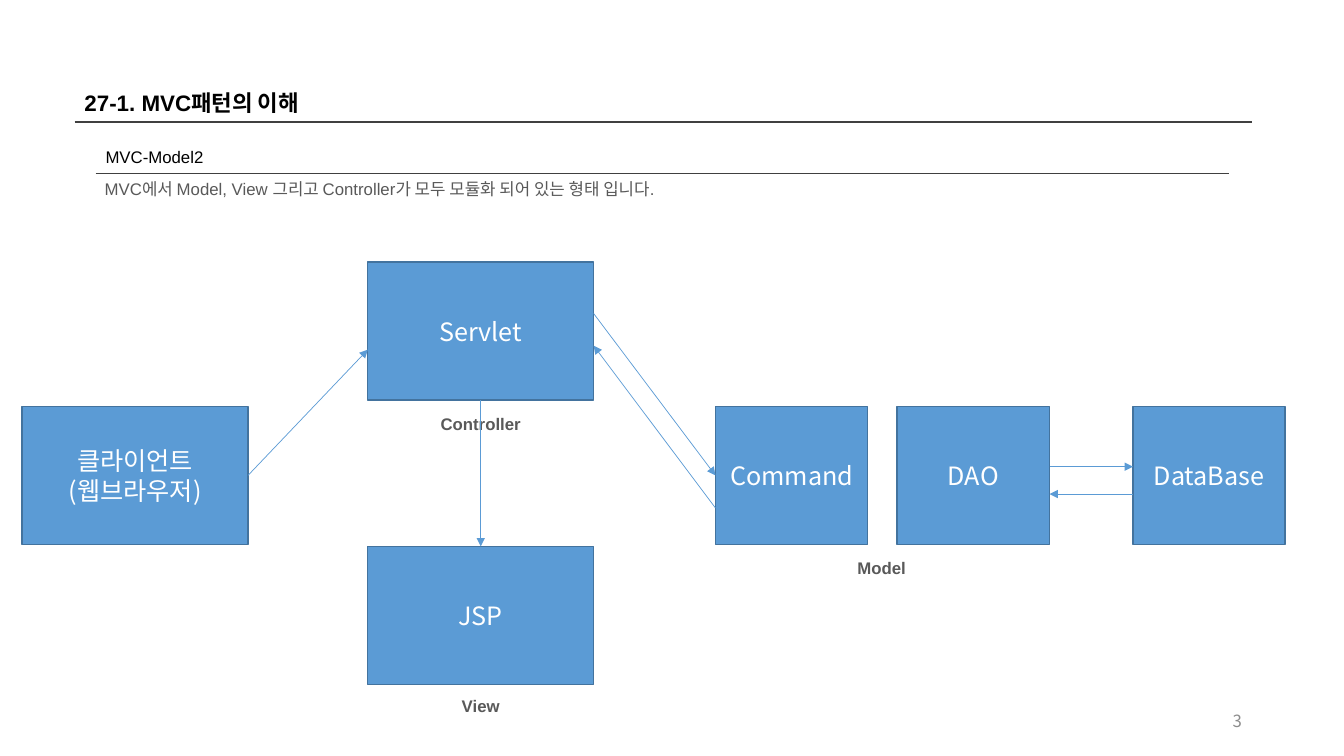
import pptx
import pptx.util
import pptx.dml.color
import pptx.enum.shapes
import pptx.enum.text
import pptx.oxml
import pptx.oxml.ns

Cm = pptx.util.Cm
Pt = pptx.util.Pt
RGBColor = pptx.dml.color.RGBColor
ALIGN = pptx.enum.text.PP_ALIGN
ANCHOR = pptx.enum.text.MSO_ANCHOR

BLACK = RGBColor(0x00, 0x00, 0x00)
WHITE = RGBColor(0xFF, 0xFF, 0xFF)
RULE = RGBColor(0x40, 0x40, 0x40)
BODY = RGBColor(0x59, 0x59, 0x59)
PAGE = RGBColor(0x8C, 0x8C, 0x8C)
BLUE = RGBColor(0x5B, 0x9B, 0xD5)
EDGE = RGBColor(0x43, 0x73, 0x9E)

LATIN = "Arial"
KOREAN = "Noto Sans CJK KR"
TOP, LEFT, BOTTOM, RIGHT = range(4)


class Diagram:
    """Holds the style and the slide being drawn."""

    box_height = 3.48

    def __init__(self, slide):
        self.slide = slide

    def fill_text(self, frame, text, size, color, font, bold, align, anchor):
        frame.word_wrap = True
        frame.vertical_anchor = anchor
        frame.text = text
        for paragraph in frame.paragraphs:
            paragraph.alignment = align
            for run in paragraph.runs:
                run.font.size = Pt(size)
                run.font.name = font
                run.font.bold = bold
                run.font.color.rgb = color
                east_asian = pptx.oxml.parse_xml(
                    f'<a:ea {pptx.oxml.ns.nsdecls("a")} typeface="{KOREAN}"/>')
                run.font._element.find(pptx.oxml.ns.qn("a:latin")).addnext(east_asian)

    def text(self, x, y, width, height, text, size=12, color=BODY, font=LATIN,
             bold=False, align=ALIGN.LEFT, anchor=ANCHOR.TOP):
        area = self.slide.shapes.add_textbox(Cm(x), Cm(y), Cm(width), Cm(height))
        self.fill_text(area.text_frame, text, size, color, font, bold, align, anchor)

    def caption(self, x, y, width, text):
        self.text(x, y, width, 0.78, text, bold=True, align=ALIGN.CENTER)

    def box(self, x, y, width, text):
        box = self.slide.shapes.add_shape(
            pptx.enum.shapes.MSO_SHAPE.RECTANGLE,
            Cm(x), Cm(y), Cm(width), Cm(self.box_height))
        box.shadow.inherit = False
        box.fill.solid()
        box.fill.fore_color.rgb = BLUE
        box.line.color.rgb = EDGE
        box.line.width = Pt(1)
        self.fill_text(box.text_frame, text, 18, WHITE, KOREAN, False,
                       ALIGN.CENTER, ANCHOR.MIDDLE)
        return box

    def line(self, x1, y1, x2, y2, color=RULE, width=1):
        line = self.slide.shapes.add_connector(
            pptx.enum.shapes.MSO_CONNECTOR.STRAIGHT, Cm(x1), Cm(y1), Cm(x2), Cm(y2))
        line.line.color.rgb = color
        line.line.width = Pt(width)
        line._element.spPr.append(pptx.oxml.parse_xml(
            f'<a:effectLst {pptx.oxml.ns.nsdecls("a")}/>'))
        return line

    def arrow(self, x1, y1, x2, y2, begin=None, end=None):
        arrow = self.line(x1, y1, x2, y2, BLUE, 0.5)
        outline = arrow._element.spPr.find(pptx.oxml.ns.qn("a:ln"))
        outline.append(pptx.oxml.parse_xml(
            f'<a:tailEnd {pptx.oxml.ns.nsdecls("a")} type="triangle"/>'))
        if begin:
            arrow.begin_connect(*begin)
        if end:
            arrow.end_connect(*end)


def main():
    deck = pptx.Presentation()
    deck.slide_width, deck.slide_height = Cm(33.87), Cm(19.05)
    diagram = Diagram(deck.slides.add_slide(deck.slide_layouts[6]))

    # Headings and page number
    diagram.text(1.88, 2.11, 29.67, 0.94, "27-1. MVC패턴의 이해", 16, BLACK, bold=True)
    diagram.line(1.88, 3.07, 31.55, 3.07)
    diagram.text(2.41, 3.58, 27.71, 0.78, "MVC-Model2", color=BLACK)
    diagram.line(2.41, 4.37, 30.96, 4.37)
    diagram.text(2.39, 4.39, 27.71, 0.78,
                 "MVC에서 Model, View 그리고 Controller가 모두 모듈화 되어 있는 형태 입니다.")
    diagram.text(23.93, 17.65, 7.62, 1.02, "3", color=PAGE, font=KOREAN,
                 align=ALIGN.RIGHT, anchor=ANCHOR.MIDDLE)

    # Boxes: wide ones on the web side, narrow ones on the model side
    wide, narrow = 5.69, 3.84
    web_x, row_y = 9.27, 10.24
    command_x, dao_x, database_x = 18.03, 22.61, 28.55
    client = diagram.box(0.56, row_y, wide, "클라이언트\n(웹브라우저)")
    servlet = diagram.box(web_x, 6.6, wide, "Servlet")
    jsp = diagram.box(web_x, 13.77, wide, "JSP")
    command = diagram.box(command_x, row_y, narrow, "Command")
    diagram.box(dao_x, row_y, narrow, "DAO")
    diagram.box(database_x, row_y, narrow, "DataBase")

    # Roles
    diagram.caption(web_x, 10.29, wide, "Controller")
    diagram.caption(web_x, 17.4, wide, "View")
    diagram.caption(17.98, 13.92, 8.48, "Model")

    # Flow
    servlet_right, dao_right = web_x + wide, dao_x + narrow
    row_middle = row_y + diagram.box_height / 2
    web_middle = web_x + wide / 2
    diagram.arrow(6.25, row_middle, web_x, 8.81, begin=(client, RIGHT))
    diagram.arrow(servlet_right, 7.9, command_x, row_middle, end=(command, LEFT))
    diagram.arrow(command_x, 12.8, servlet_right, 8.71)
    diagram.arrow(web_middle, 10.08, web_middle, 13.77,
                  begin=(servlet, BOTTOM), end=(jsp, TOP))
    diagram.arrow(dao_right, 11.76, database_x, 11.76)
    diagram.arrow(database_x, 12.45, dao_right, 12.45)

    deck.save("out.pptx")


if __name__ == "__main__":
    main()
